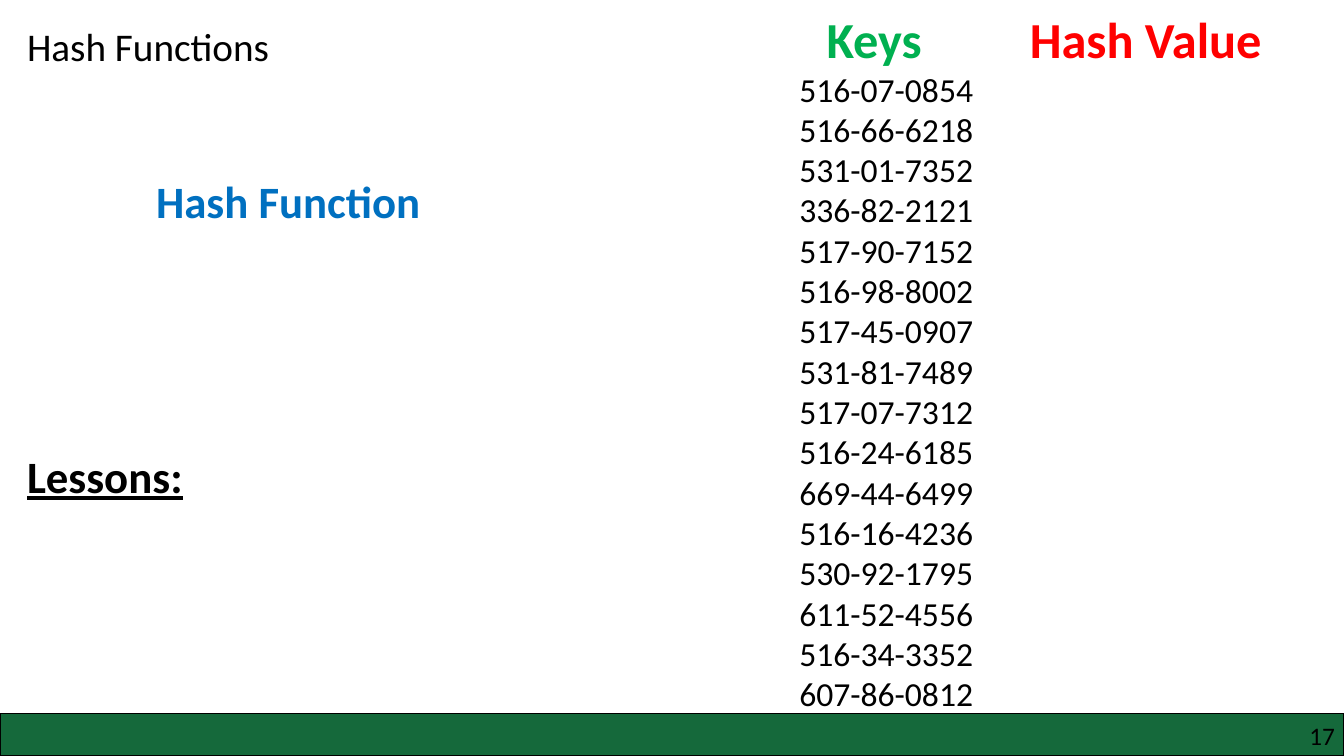
from pptx import Presentation
from pptx.dml.color import RGBColor
from pptx.enum.shapes import MSO_SHAPE as Shape
from pptx.enum.text import PP_ALIGN as Align
from pptx.util import Inches, Pt

BLACK = RGBColor(0x00, 0x00, 0x00)
BAR_GREEN = RGBColor(0x15, 0x69, 0x3B)
KEY_GREEN = RGBColor(0x00, 0xB0, 0x50)
VALUE_RED = RGBColor(0xFF, 0x00, 0x00)
FUNCTION_BLUE = RGBColor(0x00, 0x70, 0xC0)

KEYS = [
    "516-07-0854", "516-66-6218", "531-01-7352", "336-82-2121",
    "517-90-7152", "516-98-8002", "517-45-0907", "531-81-7489",
    "517-07-7312", "516-24-6185", "669-44-6499", "516-16-4236",
    "530-92-1795", "611-52-4556", "516-34-3352", "607-86-0812",
]


def add_text(lines, left, top, width, height, size, color=BLACK, align=Align.LEFT, **style):
    box = slide.shapes.add_textbox(Inches(left), Inches(top), Inches(width), Inches(height))
    frame = box.text_frame
    frame.word_wrap = True
    frame.text = "\n".join(lines)
    font_format = {"name": "Calibri", "size": Pt(size), **style}
    for paragraph in frame.paragraphs:
        paragraph.alignment = align
        for run in paragraph.runs:
            for name, value in font_format.items():
                setattr(run.font, name, value)
            run.font.color.rgb = color
    return frame


prs = Presentation()
prs.slide_width, prs.slide_height = Inches(13.33), Inches(7.5)
slide = prs.slides.add_slide(prs.slide_layouts[6])

footer_bar = slide.shapes.add_shape(
    Shape.RECTANGLE, Inches(0), Inches(7.08), Inches(13.33), Inches(0.42))
footer_bar.shadow.inherit = False
footer_bar.fill.solid()
footer_bar.fill.fore_color.rgb = BAR_GREEN
footer_bar.line.color.rgb = BLACK
footer_bar.line.width = Pt(1)

page_number = add_text(["17"], 10.17, 7.15, 3.07, 0.3, 18, align=Align.RIGHT)
for side in ("left", "top", "right", "bottom"):
    setattr(page_number, f"margin_{side}", 0)

add_text(["Hash Functions"], 0.17, 0.17, 2.93, 0.57, 28)
add_text(["Keys"], 8.1, 0.03, 2.26, 0.71, 36, KEY_GREEN, bold=True)
add_text(KEYS, 7.83, 0.63, 3.17, 6.56, 24)
add_text(["Hash Value"], 9.65, 0.03, 3.43, 0.71, 36, VALUE_RED, Align.CENTER, bold=True)
add_text(["Hash Function"], 1.45, 1.67, 3.31, 0.64, 32, FUNCTION_BLUE, bold=True)
add_text(["Lessons:"], 0.17, 4.4, 2.17, 0.64, 32, bold=True, underline=True)

prs.save("out.pptx")
